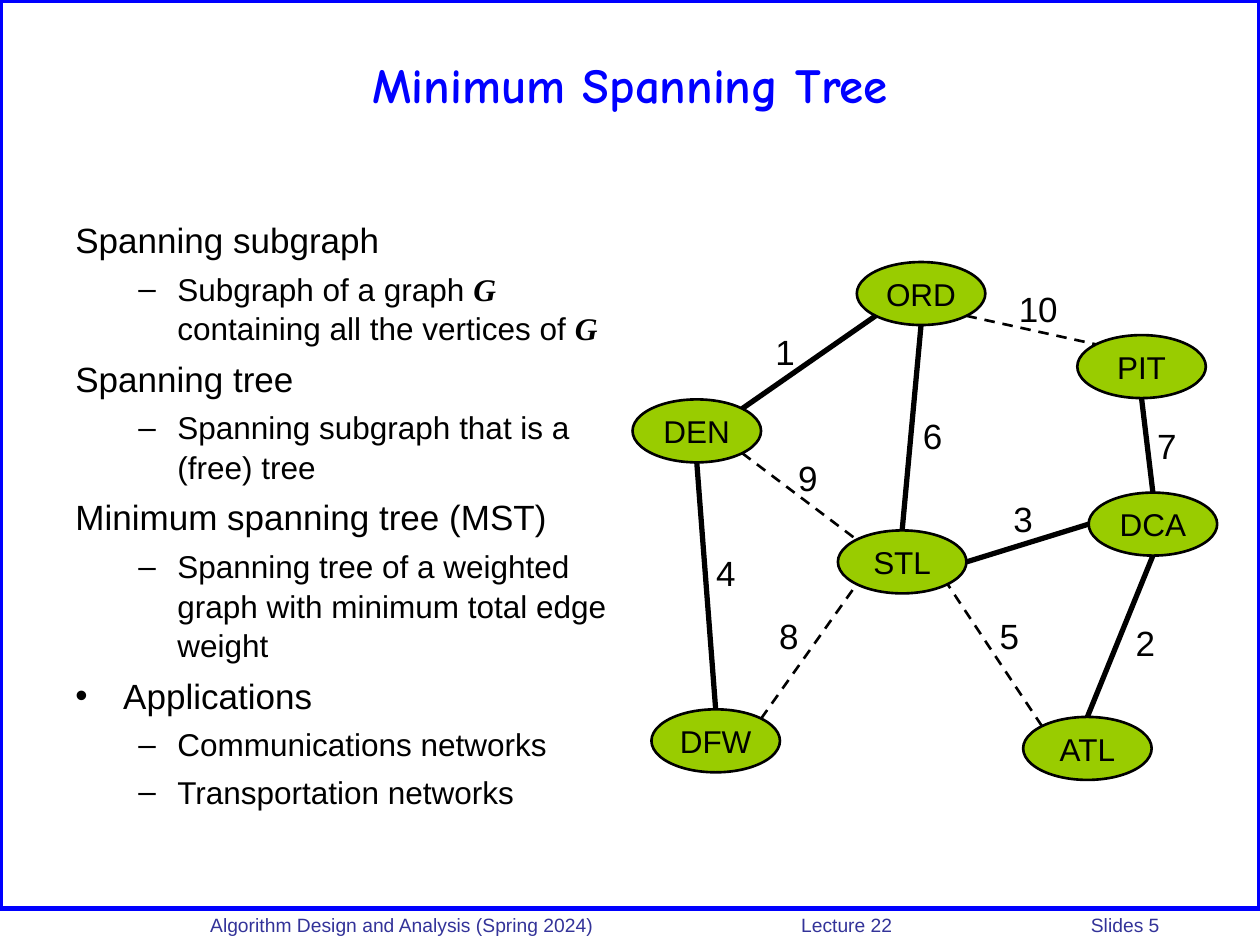
from dataclasses import dataclass
from math import sqrt

from lxml.etree import SubElement
from pptx import Presentation
from pptx.dml.color import RGBColor
from pptx.enum.dml import MSO_LINE
from pptx.enum.shapes import MSO_CONNECTOR as Connector, MSO_SHAPE as Shape
from pptx.enum.text import MSO_ANCHOR as Anchor, MSO_AUTO_SIZE as AutoSize, PP_ALIGN as Align
from pptx.oxml.ns import qn
from pptx.util import Inches, Pt


@dataclass(frozen=True)
class Theme:
    blue = RGBColor(0x00, 0x00, 0xFF)
    indigo = RGBColor(0x33, 0x33, 0x99)
    green = RGBColor(0x99, 0xCC, 0x00)
    black = RGBColor(0x00, 0x00, 0x00)
    sans = "Arial"
    title_font = "Comic Neue"
    math_font = "Times New Roman"
    title_size = 28
    topic_size = 20
    detail_size = 18
    footer_size = 11
    thin = Pt(1.5)
    thick = Pt(3)


@dataclass(frozen=True)
class Box:
    left: int
    top: int
    width: int
    height: int

    def place(self):
        return self.left, self.top, self.width, self.height


THEME = Theme()

# Outline: level, bullet, text; asterisks enclose a math symbol
OUTLINE = [
    (0, None, "Spanning subgraph"),
    (1, "–", "Subgraph of a graph *G* containing all the vertices of *G*"),
    (0, None, "Spanning tree"),
    (1, "–", "Spanning subgraph that is a (free) tree"),
    (0, None, "Minimum spanning tree (MST)"),
    (1, "–", "Spanning tree of a weighted graph with minimum total edge weight"),
    (0, "•", "Applications"),
    (1, "–", "Communications networks"),
    (1, "–", "Transportation networks"),
]

# Airport centres, in inches from the corner of the graph
NODES = {
    "ORD": (2.29, 0.25), "PIT": (4.04, 0.83), "ATL": (3.61, 3.86), "STL": (2.14, 2.38),
    "DEN": (0.51, 1.34), "DFW": (0.66, 3.80), "DCA": (4.13, 2.08),
}
NODE_WIDTH, NODE_HEIGHT = Inches(1.02), Inches(0.5)

# Compass points on the rim of an ellipse, as parts of its half width and height
SITES = {"N": (0, -1), "S": (0, 1), "W": (-1, 0), "E": (1, 0)}
SITES |= {a + b: (SITES[b][0] / sqrt(2), SITES[a][1] / sqrt(2)) for a in "NS" for b in "WE"}

# Edges: start, site, end, site, in the tree, weight, centre of the weight
EDGES = [
    ("DEN", "NE", "ORD", "SW", True, "1", (1.21, 0.71)),
    ("STL", "N", "ORD", "S", True, "6", (2.38, 1.38)),
    ("STL", "E", "DCA", "W", True, "3", (3.10, 2.04)),
    ("DCA", "N", "PIT", "S", True, "7", (4.24, 1.46)),
    ("ORD", "SE", "PIT", "NW", False, "10", (3.22, 0.37)),
    ("DEN", "S", "DFW", "N", True, "4", (0.74, 2.47)),
    ("DCA", "S", "ATL", "N", True, "2", (4.07, 3.02)),
    ("ATL", "NW", "STL", "SE", False, "5", (2.99, 2.97)),
    ("DFW", "NE", "STL", "SW", False, "8", (1.24, 2.97)),
    ("DEN", "SE", "STL", "NW", False, "9", (1.39, 1.71)),
]


def add_span(para, text, *, size, color=THEME.black, font=THEME.sans, bold=False, italic=False):
    span = para.add_run()
    span.text = text
    span.font.size, span.font.name = Pt(size), font
    span.font.bold, span.font.italic = bold, italic
    span.font.color.rgb = color


def add_text(page, box, text, *, align=Align.LEFT, anchor=Anchor.TOP, wrap=True, grow=False, **style):
    frame = page.shapes.add_textbox(*box.place()).text_frame
    frame.word_wrap, frame.vertical_anchor = wrap, anchor
    frame.auto_size = AutoSize.SHAPE_TO_FIT_TEXT if grow else AutoSize.NONE
    para = frame.paragraphs[0]
    para.alignment = align
    if text:
        add_span(para, text, **style)
    return frame


def set_bullet(para, mark, margin, hang):
    props = para._p.get_or_add_pPr()
    props.set("marL", str(margin))
    props.set("indent", str(-hang))
    if mark:
        color = SubElement(props, qn("a:buClr"))
        SubElement(color, qn("a:srgbClr"), val=str(THEME.black))
        SubElement(props, qn("a:buFont"), typeface=THEME.sans)
        SubElement(props, qn("a:buChar"), char=mark)
    else:
        SubElement(props, qn("a:buNone"))


def draw_border(page, box):
    border = page.shapes.add_shape(Shape.RECTANGLE, *box.place())
    border.shadow.inherit = False
    border.fill.background()
    border.line.color.rgb, border.line.width = THEME.blue, THEME.thick


def draw_footer(page, box):
    parts = ["Algorithm Design and Analysis (Spring 2024)", "Lecture 22", "Slides 5"]
    frame = add_text(page, box, "")
    para = frame.paragraphs[0]
    stops = SubElement(para._p.get_or_add_pPr(), qn("a:tabLst"))
    for stop in (0.24, 4.93, 7.23):
        SubElement(stops, qn("a:tab"), pos=str(Inches(stop)), algn="l")
    for part in parts:
        add_span(para, "\t" + part, size=THEME.footer_size, color=THEME.indigo)


def draw_outline(page, box):
    frame = add_text(page, box, "")
    for index, (level, mark, text) in enumerate(OUTLINE):
        para = frame.add_paragraph() if index else frame.paragraphs[0]
        margin, hang = ((0.38, 0.38), (0.81, 0.31))[level]
        set_bullet(para, mark, Inches(margin), Inches(hang))
        para.level = level
        para.line_spacing = 1.04
        if index:
            para.space_before = Pt((5, 4.5)[level])
        size = (THEME.topic_size, THEME.detail_size)[level]
        for order, piece in enumerate(text.split("*")):
            if piece:
                symbol = order % 2 == 1
                add_span(para, piece, size=size, bold=symbol, italic=symbol,
                         font=THEME.math_font if symbol else THEME.sans)


def draw_node(page, box, name):
    node = page.shapes.add_shape(Shape.OVAL, *box.place())
    node.shadow.inherit = False
    node.fill.solid()
    node.fill.fore_color.rgb = THEME.green
    node.line.color.rgb, node.line.width = THEME.black, THEME.thin
    frame = node.text_frame
    frame.word_wrap, frame.vertical_anchor = False, Anchor.MIDDLE
    frame.paragraphs[0].alignment = Align.CENTER
    add_span(frame.paragraphs[0], name, size=THEME.detail_size)


def draw_edge(page, start, end, in_tree):
    edge = page.shapes.add_connector(Connector.STRAIGHT, *start, *end)
    SubElement(edge._element.spPr, qn("a:effectLst"))
    edge.line.color.rgb = THEME.black
    edge.line.width = THEME.thick if in_tree else THEME.thin
    if not in_tree:
        edge.line.dash_style = MSO_LINE.DASH


def draw_graph(page, box):
    def around(center, width, height):
        x, y = center
        return Box(box.left + Inches(x) - width // 2, box.top + Inches(y) - height // 2, width, height)

    def rim(name, site):
        (x, y), (dx, dy) = NODES[name], SITES[site]
        return (int(box.left + Inches(x) + dx * NODE_WIDTH / 2),
                int(box.top + Inches(y) + dy * NODE_HEIGHT / 2))

    for name, center in NODES.items():
        draw_node(page, around(center, NODE_WIDTH, NODE_HEIGHT), name)
    for start, leave, end, arrive, in_tree, *_ in EDGES:
        draw_edge(page, rim(start, leave), rim(end, arrive), in_tree)
    for *_, weight, center in EDGES:
        width = Inches(0.19 + 0.16 * len(weight))
        add_text(page, around(center, width, Inches(0.44)), weight, align=Align.CENTER,
                 wrap=False, grow=True, size=THEME.topic_size)


def main():
    deck = Presentation()
    deck.slide_width, deck.slide_height = Inches(10), Inches(7.5)
    page = deck.slides.add_slide(deck.slide_layouts[6])
    # Frame and footer
    draw_border(page, Box(0, 0, Inches(10), Inches(7.21)))
    draw_footer(page, Box(Inches(1.33), Inches(7.2), Inches(8.67), Inches(0.26)))
    # Title, outline and weighted graph
    add_text(page, Box(Inches(0.5), Inches(0.17), Inches(9), Inches(1)), "Minimum Spanning Tree",
             align=Align.CENTER, anchor=Anchor.MIDDLE, size=THEME.title_size,
             font=THEME.title_font, color=THEME.blue, bold=True)
    draw_outline(page, Box(Inches(0.5), Inches(1.67), Inches(4.47), Inches(5.17)))
    draw_graph(page, Box(Inches(5.02), Inches(2.08), Inches(4.64), Inches(4.11)))
    deck.save("out.pptx")


if __name__ == "__main__":
    main()
